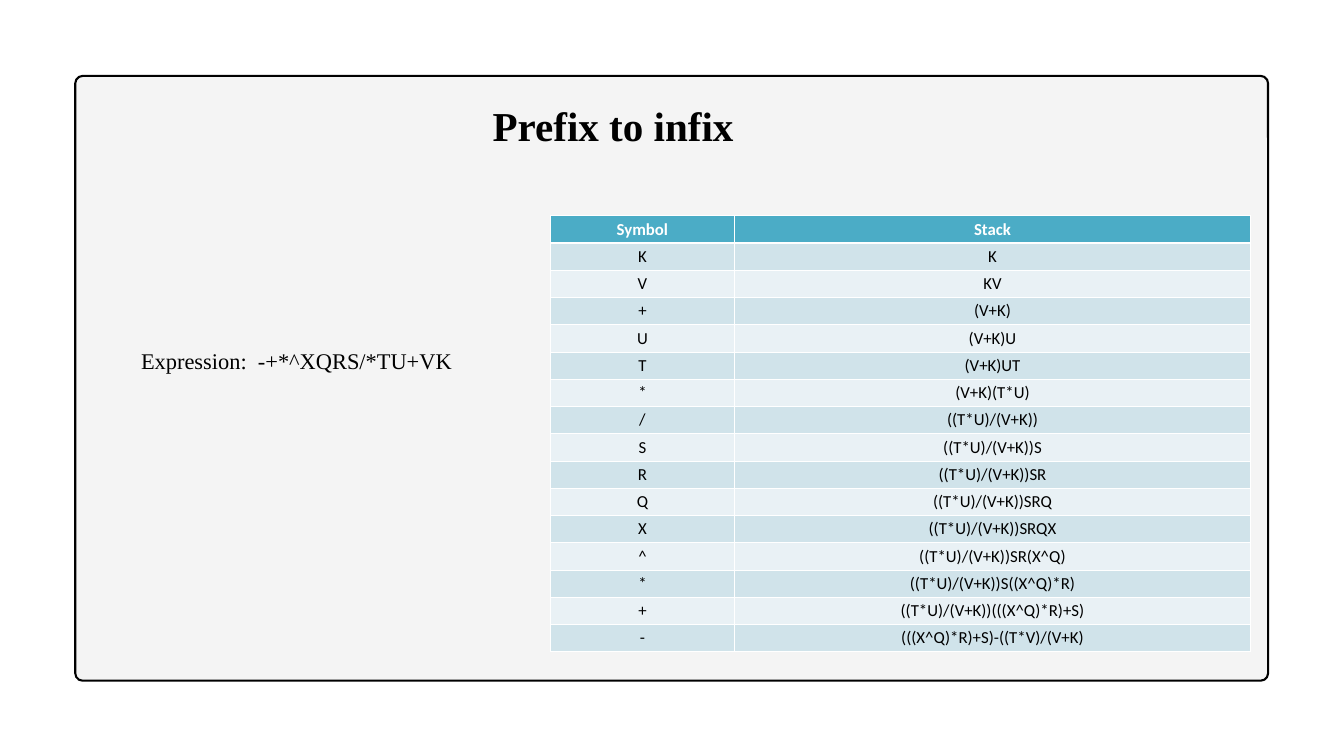
import pptx
import pptx.dml.color
import pptx.enum.shapes
import pptx.enum.text
import pptx.oxml
import pptx.oxml.ns
import pptx.util
from pptx.util import Inches

STEPS = [
    ("Symbol", "Stack"),
    ("K", "K"),
    ("V", "KV"),
    ("+", "(V+K)"),
    ("U", "(V+K)U"),
    ("T", "(V+K)UT"),
    ("*", "(V+K)(T*U)"),
    ("/", "((T*U)/(V+K))"),
    ("S", "((T*U)/(V+K))S"),
    ("R", "((T*U)/(V+K))SR"),
    ("Q", "((T*U)/(V+K))SRQ"),
    ("X", "((T*U)/(V+K))SRQX"),
    ("^", "((T*U)/(V+K))SR(X^Q)"),
    ("*", "((T*U)/(V+K))S((X^Q)*R)"),
    ("+", "((T*U)/(V+K))(((X^Q)*R)+S)"),
    ("-", "(((X^Q)*R)+S)-((T*V)/(V+K)"),
]
HEADER_FILL = "4BACC6"
BAND_FILLS = ("E9F1F5", "D0E3EA")
BORDER = (
    '<a:{side} xmlns:a="http://schemas.openxmlformats.org/drawingml/2006/main" w="{width}">'
    '<a:solidFill><a:srgbClr val="FFFFFF"/></a:solidFill></a:{side}>'
)


def paint(target, color):
    """Give a fill, line fill or font color object a solid hex color."""
    if hasattr(target, "solid"):
        target.solid()
        target = target.fore_color
    target.rgb = pptx.dml.color.RGBColor.from_string(color)


def write(frame, text, size, font="Times New Roman", color="000000", bold=False,
          align=pptx.enum.text.PP_ALIGN.LEFT, spacing=None):
    """Write one formatted paragraph into a text frame."""
    para = frame.paragraphs[0]
    para.alignment = align
    para.line_spacing = spacing
    span = para.add_run()
    span.text = text
    span.font.size = pptx.util.Pt(size)
    span.font.name = font
    span.font.bold = bold
    paint(span.font.color, color)


def add_panel(page, left, top, width, height, radius):
    """Add the outlined panel with rounded corners behind the content."""
    panel = page.shapes.add_shape(
        pptx.enum.shapes.MSO_SHAPE.ROUNDED_RECTANGLE,
        Inches(left), Inches(top), Inches(width), Inches(height))
    panel.adjustments[0] = radius / min(width, height)
    panel.shadow.inherit = False
    paint(panel.fill, "F4F4F4")
    paint(panel.line.fill, "000000")
    panel.line.width = pptx.util.Pt(2.25)


def add_text(page, text, left, top, width, height, margins=(0.1, 0.05), **style):
    """Add a wrapping text box with horizontal and vertical margins."""
    box = page.shapes.add_textbox(Inches(left), Inches(top), Inches(width), Inches(height))
    frame = box.text_frame
    frame.word_wrap = True
    frame.margin_left = frame.margin_right = Inches(margins[0])
    frame.margin_top = frame.margin_bottom = Inches(margins[1])
    write(frame, text, **style)


def set_borders(cell, **widths):
    """Draw white cell borders with widths in points, keyed by side tag."""
    properties = cell._tc.get_or_add_tcPr()
    for index, (side, width) in enumerate(widths.items()):
        xml = BORDER.format(side=side, width=pptx.util.Pt(width))
        properties.insert(index, pptx.oxml.parse_xml(xml))


def add_steps_table(page, left, top, column_widths, height):
    """Add the banded table of symbols and stack contents."""
    table = page.shapes.add_table(
        len(STEPS), len(column_widths), Inches(left), Inches(top),
        Inches(sum(column_widths)), Inches(height)).table
    for column, width in zip(table.columns, column_widths):
        column.width = Inches(width)
    for number, values in enumerate(STEPS):
        header = number == 0
        table.rows[number].height = Inches(height / len(STEPS))
        for cell, value in zip(table.rows[number].cells, values):
            paint(cell.fill, HEADER_FILL if header else BAND_FILLS[number % 2])
            set_borders(cell, lnL=1, lnR=1, lnT=3 if number == 1 else 1, lnB=3 if header else 1)
            write(cell.text_frame, value, size=18, font="Calibri", bold=header,
                  color="FFFFFF" if header else "000000",
                  align=pptx.enum.text.PP_ALIGN.CENTER)


def main():
    """Build the prefix to infix slide and save it."""
    deck = pptx.Presentation()
    deck.slide_width = Inches(20)
    deck.slide_height = Inches(11.25)
    page = deck.slides.add_slide(deck.slide_layouts[6])
    add_panel(page, 1.12, 1.13, 17.75, 9, radius=0.11)
    add_text(page, "Prefix to infix", 7.33, 1.13, 9.79, 0.98,
             margins=(0, 0), size=44, bold=True, spacing=1.5)
    add_text(page, "Expression:  -+*^XQRS/*TU+VK", 2, 5.12, 14.92, 0.5, size=24)
    add_steps_table(page, 8.19, 3.21, (2.74, 7.68), 6.49)
    deck.save("out.pptx")


if __name__ == "__main__":
    main()
